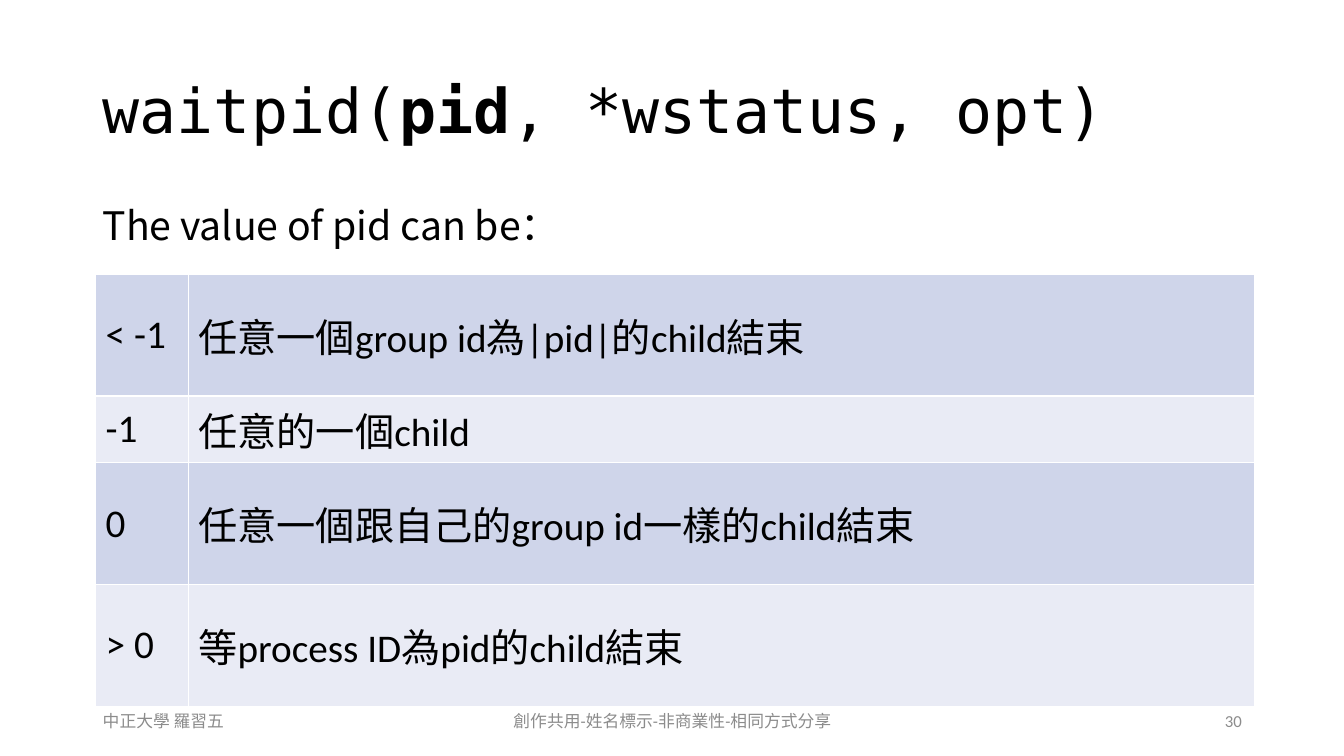
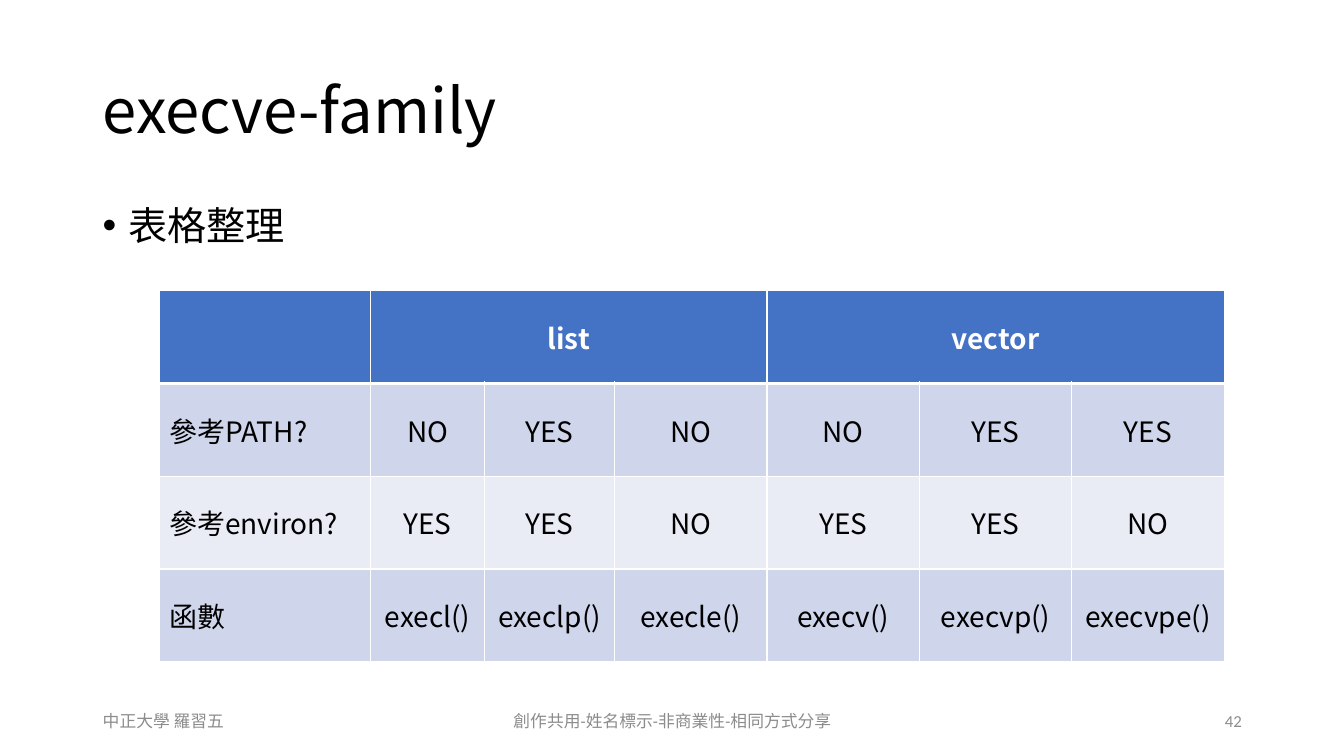
"""Build two slides on waitpid and the execve family."""
from lxml.etree import SubElement
from pptx import Presentation
from pptx.dml.color import RGBColor
from pptx.enum.text import MSO_ANCHOR as ANCHOR, PP_ALIGN as ALIGN
from pptx.oxml.ns import qn
from pptx.util import Cm, Pt

SANS, MONO, LATIN = "Noto Sans CJK SC", "DejaVu Sans Mono", "Calibri"
BLACK, WHITE, GREY = "000000", "FFFFFF", "8C8C8C"
HEAD, BANDS = "4472C4", ("CFD5EA", "E9EBF5")
LEFT, WIDTH = 2.34, 29.21
FOOTER_TOP, FOOTER_HEIGHT = 17.65, 1.02

TITLE = {"size": 44, "name": SANS, "color": BLACK}
BODY = {"size": 28, "name": SANS, "color": BLACK}
FOOTER = {"size": 12, "name": LATIN, "color": GREY}
PID_CELL = {"size": 28, "name": LATIN, "color": BLACK}
EXEC_CELL = {"size": 20, "name": SANS, "color": BLACK}
EXEC_HEAD = {**EXEC_CELL, "color": WHITE, "bold": True}

AUTHOR = "中正大學 羅習五"
LICENSE = "創作共用-姓名標示-非商業性-相同方式分享"

PID_ROWS = [
    ("< -1", "任意一個group id為|pid|的child結束"),
    ("-1", "任意的一個child"),
    ("0", "任意一個跟自己的group id一樣的child結束"),
    ("> 0", "等process ID為pid的child結束"),
]
EXEC_ROWS = [
    ("", "list", "", "", "vector", "", ""),
    ("參考PATH?", "NO", "YES", "NO", "NO", "YES", "YES"),
    ("參考environ?", "YES", "YES", "NO", "YES", "YES", "NO"),
    ("函數", "execl()", "execlp()", "execle()", "execv()", "execvp()", "execvpe()"),
]
SLIDES = [
    {
        "number": "30",
        "title": [("waitpid(", False), ("pid", True), (", *wstatus, opt)", False)],
        "title_font": MONO,
        "body": "The value of pid can be：",
        "bullet": False,
        "table": {"rows": PID_ROWS, "at": (2.41, 6.91), "cols": (2.34, 26.87),
                  "heights": (3.07, 1.68, 3.07, 3.07), "fmt": PID_CELL,
                  "header": 0, "spans": (), "align": ALIGN.LEFT},
    },
    {
        "number": "42",
        "title": [("execve-family", False)],
        "title_font": SANS,
        "body": "表格整理",
        "bullet": True,
        "table": {"rows": EXEC_ROWS, "at": (4.01, 7.32),
                  "cols": (5.33, 2.87, 3.28) + (3.84,) * 4,
                  "heights": (2.34,) * 4, "fmt": EXEC_CELL,
                  "header": 1, "spans": ((1, 3), (4, 6)), "align": ALIGN.CENTER},
    },
]


def rgb(color):
    return RGBColor.from_string(color)


def add_run(p, text, fmt):
    r = p.add_run()
    r.text = text
    values = {"size": Pt(fmt["size"]), "name": fmt["name"], "bold": fmt.get("bold", False)}
    for key, value in values.items():
        setattr(r.font, key, value)
    r.font.color.rgb = rgb(fmt["color"])
    SubElement(r.font._element, qn("a:ea"), typeface=SANS)


def add_text(s, box, runs, anchor=ANCHOR.MIDDLE, **paragraph):
    tf = s.shapes.add_textbox(*map(Cm, box)).text_frame
    tf.word_wrap = True
    tf.vertical_anchor = anchor
    p = tf.paragraphs[0]
    for key, value in paragraph.items():
        setattr(p, key, value)
    for text, fmt in runs:
        add_run(p, text, fmt)
    return p


def add_bullet(p):
    pPr = p._p.get_or_add_pPr()
    indent = Cm(0.64)
    pPr.set("marL", str(indent))
    pPr.set("indent", str(-indent))
    SubElement(pPr, qn("a:buFont"), typeface="Arial")
    SubElement(pPr, qn("a:buChar"), char="•")


def set_borders(cell, bottom, top):
    tcPr = cell._tc.get_or_add_tcPr()
    for side, width in (("L", 1), ("R", 1), ("T", top), ("B", bottom)):
        ln = SubElement(tcPr, qn(f"a:ln{side}"), w=str(Pt(width)))
        SubElement(SubElement(ln, qn("a:solidFill")), qn("a:srgbClr"), val=WHITE)


def add_grid(s, rows, at, cols, heights, fmt, header, spans, align):
    size = (sum(cols), sum(heights))
    table = s.shapes.add_table(len(rows), len(cols), *map(Cm, at + size)).table
    table.first_row = bool(header)
    for column, width in zip(table.columns, cols):
        column.width = Cm(width)
    for row, height in zip(table.rows, heights):
        row.height = Cm(height)
    for i, texts in enumerate(rows):
        is_head = i < header
        for j, text in enumerate(texts):
            cell = table.cell(i, j)
            cell.vertical_anchor = ANCHOR.MIDDLE
            set_borders(cell, 3 if is_head else 1, 3 if header and i == header else 1)
            cell.fill.solid()
            cell.fill.fore_color.rgb = rgb(HEAD if is_head else BANDS[(i - header) % 2])
            if text:
                p = cell.text_frame.paragraphs[0]
                p.alignment = align if j else ALIGN.LEFT
                add_run(p, text, EXEC_HEAD if is_head else fmt)
    for first, last in spans:
        table.cell(0, first).merge(table.cell(0, last))


def add_footer(s, number):
    parts = [(AUTHOR, LEFT, 7.62, ALIGN.LEFT),
             (LICENSE, 11.23, 11.43, ALIGN.CENTER),
             (number, 23.93, 7.62, ALIGN.RIGHT)]
    for text, left, width, align in parts:
        add_text(s, (left, FOOTER_TOP, width, FOOTER_HEIGHT), [(text, FOOTER)], alignment=align)


def add_slide(prs, page):
    s = prs.slides.add_slide(prs.slide_layouts[6])
    title = {**TITLE, "name": page["title_font"]}
    runs = [(text, {**title, "bold": bold}) for text, bold in page["title"]]
    add_text(s, (LEFT, 1.02, WIDTH, 3.68), runs, line_spacing=0.9)
    p = add_text(s, (LEFT, 5.08, WIDTH, 12.09), [(page["body"], BODY)],
                 anchor=ANCHOR.TOP, line_spacing=0.9, space_before=Pt(10))
    if page["bullet"]:
        add_bullet(p)
    add_grid(s, **page["table"])
    add_footer(s, page["number"])


prs = Presentation()
prs.slide_width, prs.slide_height = Cm(33.87), Cm(19.05)
for page in SLIDES:
    add_slide(prs, page)
prs.save("out.pptx")
